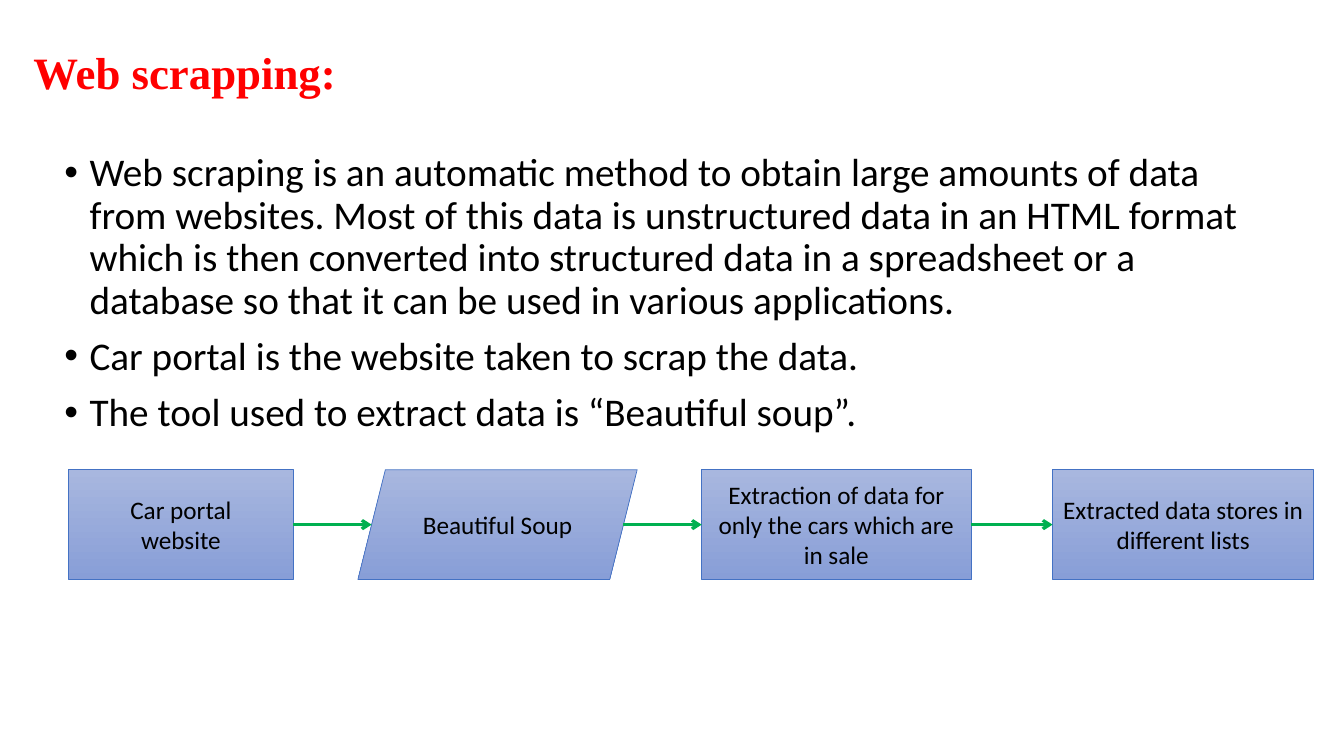
"""Build the web scraping slide with its four-step extraction flow."""
from dataclasses import dataclass
from itertools import pairwise

from lxml.etree import SubElement
from pptx import Presentation
from pptx.dml.color import RGBColor
from pptx.enum.shapes import MSO_CONNECTOR, MSO_SHAPE
from pptx.enum.text import MSO_ANCHOR, PP_ALIGN
from pptx.oxml.ns import qn
from pptx.util import Inches, Pt


@dataclass(frozen=True)
class Theme:
    title_color: RGBColor = RGBColor(0xFF, 0x00, 0x00)
    text_color: RGBColor = RGBColor(0x00, 0x00, 0x00)
    step_top: RGBColor = RGBColor(0xA8, 0xB7, 0xDF)
    step_bottom: RGBColor = RGBColor(0x88, 0x9E, 0xD7)
    step_outline: RGBColor = RGBColor(0x44, 0x72, 0xC4)
    arrow: RGBColor = RGBColor(0x00, 0xB0, 0x50)
    title_font: str = "Times New Roman"
    body_font: str = "Calibri"
    title_size: int = 32
    body_size: int = 28
    step_size: int = 18


def format_font(font, name, size, color, bold=False):
    font.name = name
    font.size = Pt(size)
    font.color.rgb = color
    font.bold = bold


theme = Theme()
presentation = Presentation()
presentation.slide_width = Inches(13.33)
presentation.slide_height = Inches(7.5)
slide = presentation.slides.add_slide(presentation.slide_layouts[5])

title = slide.shapes.title
title.left, title.top, title.width, title.height = map(Inches, (0.23, 0.02, 11.5, 1.45))
title.text_frame.text = "Web scrapping:"
title.text_frame.vertical_anchor = MSO_ANCHOR.MIDDLE
heading = title.text_frame.paragraphs[0]
heading.alignment = PP_ALIGN.LEFT
heading.line_spacing = 0.9
format_font(heading.runs[0].font, theme.title_font, theme.title_size, theme.title_color, True)

points = [
    "Web scraping is an automatic method to obtain large amounts of data from websites. "
    "Most of this data is unstructured data in an HTML format which is then converted into "
    "structured data in a spreadsheet or a database so that it can be used in various applications.",
    "Car portal is the website taken to scrap the data.",
    "The tool used to extract data is “Beautiful soup”.",
]
body = slide.shapes.add_textbox(*map(Inches, (0.54, 1.47, 11.89, 3.1)))
body.text_frame.word_wrap = True
body.text_frame.text = "\n".join(points)
for index, paragraph in enumerate(body.text_frame.paragraphs):
    properties = paragraph._p.get_or_add_pPr()
    properties.set("marL", str(Inches(0.25)))
    properties.set("indent", str(Inches(-0.25)))
    SubElement(properties, qn("a:buFont")).set("typeface", "Arial")
    SubElement(properties, qn("a:buChar")).set("char", "•")
    paragraph.line_spacing = 0.9
    paragraph.space_before = Pt(10 if index else 0)
    format_font(paragraph.runs[0].font, theme.body_font, theme.body_size, theme.text_color)

step_y, step_height = 4.66, 1.09
slant = step_height / 8
steps = [
    (0.68, 2.23, MSO_SHAPE.RECTANGLE, 0, "Car portal\nwebsite"),
    (3.55, 2.77, MSO_SHAPE.PARALLELOGRAM, slant, "Beautiful Soup"),
    (6.96, 2.67, MSO_SHAPE.RECTANGLE, 0, "Extraction of data for only the cars which are in sale"),
    (10.44, 2.59, MSO_SHAPE.RECTANGLE, 0, "Extracted data stores in different lists"),
]
flow = slide.shapes.add_group_shape()
for left, width, outline, inset, label in steps:
    step = flow.shapes.add_shape(outline, *map(Inches, (left, step_y, width, step_height)))
    step.shadow.inherit = False
    step.fill.gradient()
    step.fill.gradient_angle = 270
    for stop, color in zip(step.fill.gradient_stops, (theme.step_top, theme.step_bottom)):
        stop.color.rgb = color
    step.line.color.rgb = theme.step_outline
    step.line.width = Pt(0.5)
    step.text_frame.text = label
    step.text_frame.word_wrap = True
    step.text_frame.vertical_anchor = MSO_ANCHOR.MIDDLE
    for paragraph in step.text_frame.paragraphs:
        paragraph.alignment = PP_ALIGN.CENTER
        format_font(paragraph.runs[0].font, theme.body_font, theme.step_size, theme.text_color)

arrow_y = Inches(step_y + step_height / 2)
for (left, width, _, inset, _), (next_left, _, _, next_inset, _) in pairwise(steps):
    arrow = flow.shapes.add_connector(
        MSO_CONNECTOR.STRAIGHT,
        Inches(left + width - inset), arrow_y, Inches(next_left + next_inset), arrow_y,
    )
    arrow.line.color.rgb = theme.arrow
    arrow.line.width = Pt(2.25)
    SubElement(arrow.line._get_or_add_ln(), qn("a:tailEnd")).set("type", "arrow")
    SubElement(arrow._element.spPr, qn("a:effectLst"))

presentation.save("out.pptx")
